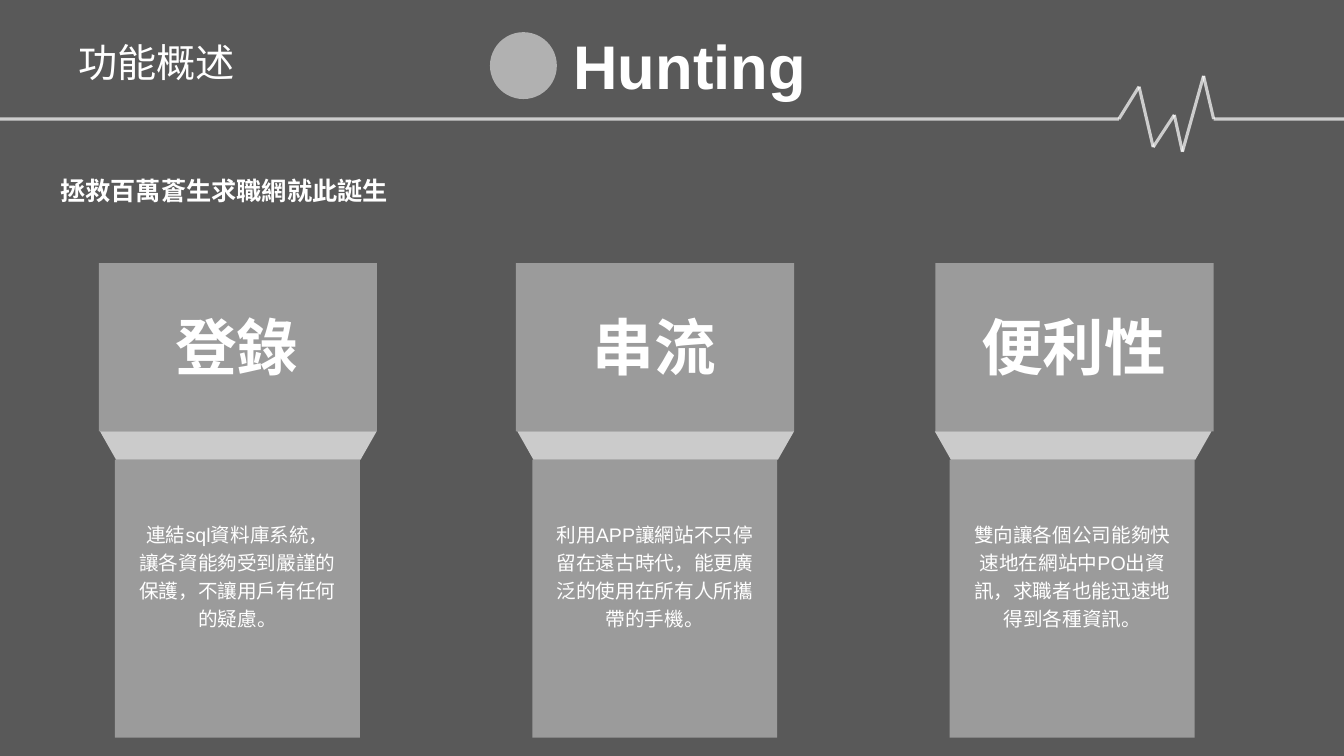
"""Build the feature overview slide with its pulse line and three cards."""
from dataclasses import dataclass
from itertools import pairwise

from lxml.etree import SubElement
from pptx import Presentation
from pptx.dml.color import RGBColor
from pptx.enum.shapes import MSO_CONNECTOR, MSO_SHAPE
from pptx.enum.text import MSO_AUTO_SIZE, PP_ALIGN
from pptx.oxml.ns import qn
from pptx.util import Pt

WIDE, HIGH = 960, 540
FONT = "Arial"
HUES = {"veil": "000000", "white": "FFFFFF", "dot": "FCFCFC"}
PULSE = [(0, 85), (799.2, 85), (813.6, 61.9), (823.7, 105.1), (838.8, 82.1),
         (844.6, 108.4), (859.7, 54.2), (866.9, 85), (WIDE, 85)]


@dataclass(frozen=True)
class Card:
    head: float
    foot: float
    title: str
    body: str


CARDS = [
    Card(70.6, 82.1, "登錄", "連結sql資料庫系統，讓各資能夠受到嚴謹的保護，不讓用戶有任何的疑慮。"),
    Card(368.6, 380.2, "串流", "利用APP讓網站不只停留在遠古時代，能更廣泛的使用在所有人所攜帶的手機。"),
    Card(668.2, 678.4, "便利性", "雙向讓各個公司能夠快速地在網站中PO出資訊，求職者也能迅速地得到各種資訊。"),
]


def fade(item, share: int) -> None:
    for node in item.element.spPr.iter(qn("a:srgbClr")):
        SubElement(node, qn("a:alpha")).set("val", str(share * 1000))


def paint(shape, hue: str, share: int) -> None:
    shape.shadow.inherit = False
    shape.fill.solid()
    shape.fill.fore_color.rgb = RGBColor.from_string(HUES[hue])
    shape.line.fill.background()
    fade(shape, share)


def block(slide, kind, box: tuple, hue: str, share: int) -> None:
    paint(slide.shapes.add_shape(kind, *map(Pt, box)), hue, share)


def write(slide, text: str, box: tuple, *, size: float, bold: bool = False,
          wrap: bool = True, align=PP_ALIGN.LEFT, space: float = 1.0) -> None:
    frame = slide.shapes.add_textbox(*map(Pt, box)).text_frame
    frame.word_wrap = wrap
    frame.auto_size = MSO_AUTO_SIZE.SHAPE_TO_FIT_TEXT
    para = frame.paragraphs[0]
    para.alignment = align
    para.line_spacing = space
    run = para.add_run()
    run.text = text
    run.font.name = FONT
    run.font.size = Pt(size)
    run.font.bold = bold
    run.font.color.rgb = RGBColor.from_string(HUES["white"])


def pulse(slide) -> None:
    for start, end in pairwise(PULSE):
        line = slide.shapes.add_connector(
            MSO_CONNECTOR.STRAIGHT, *map(Pt, start + end))
        line.line.width = Pt(2.25)
        line.line.color.rgb = RGBColor.from_string(HUES["white"])
        fade(line, 70)
        SubElement(line.element.spPr, qn("a:effectLst"))


def flap(slide, left: float) -> None:
    top, base, wide, inset = 308.2, 328.3, 197.5, 11.4
    spots = [(left + wide, top), (left + wide - inset, base), (left + inset, base)]
    form = slide.shapes.build_freeform(Pt(left), Pt(top))
    form.add_line_segments([(Pt(x), Pt(y)) for x, y in spots], close=True)
    paint(form.convert_to_shape(), "white", 69)


def draw(slide, card: Card) -> None:
    wide = 198.7
    block(slide, MSO_SHAPE.RECTANGLE, (card.head, 187.9, wide, 120.3), "white", 40)
    flap(slide, card.foot - 10.6)
    block(slide, MSO_SHAPE.RECTANGLE, (card.foot, 328.3, 175, 198.7), "white", 40)
    span = 44 * len(card.title) + 15.6
    write(slide, card.title, (card.head + (wide - span) / 2, 217.4, span, 60.5),
          size=44, bold=True, wrap=False)
    write(slide, card.body, (card.foot + 8.7, 366.5, 157.7, 88.6),
          size=14, align=PP_ALIGN.CENTER, space=1.2)


def main() -> None:
    deck = Presentation()
    deck.slide_width, deck.slide_height = Pt(WIDE), Pt(HIGH)
    slide = deck.slides.add_slide(deck.slide_layouts[6])
    block(slide, MSO_SHAPE.RECTANGLE, (0, 0, WIDE, HIGH), "veil", 65)
    pulse(slide)
    write(slide, "功能概述", (49, 23.8, 279.4, 41), size=28)
    for card in CARDS:
        draw(slide, card)
    block(slide, MSO_SHAPE.OVAL, (350, 23, 47.8, 47.8), "dot", 54)
    write(slide, "Hunting", (402.5, 16.6, 182.2, 60.5), size=44, bold=True, wrap=False)
    write(slide, "拯救百萬蒼生求職網就此誕生", (36, 117.4, 277.2, 33.1),
          size=18, bold=True, align=PP_ALIGN.JUSTIFY, space=1.2)
    deck.save("out.pptx")


if __name__ == "__main__":
    main()
